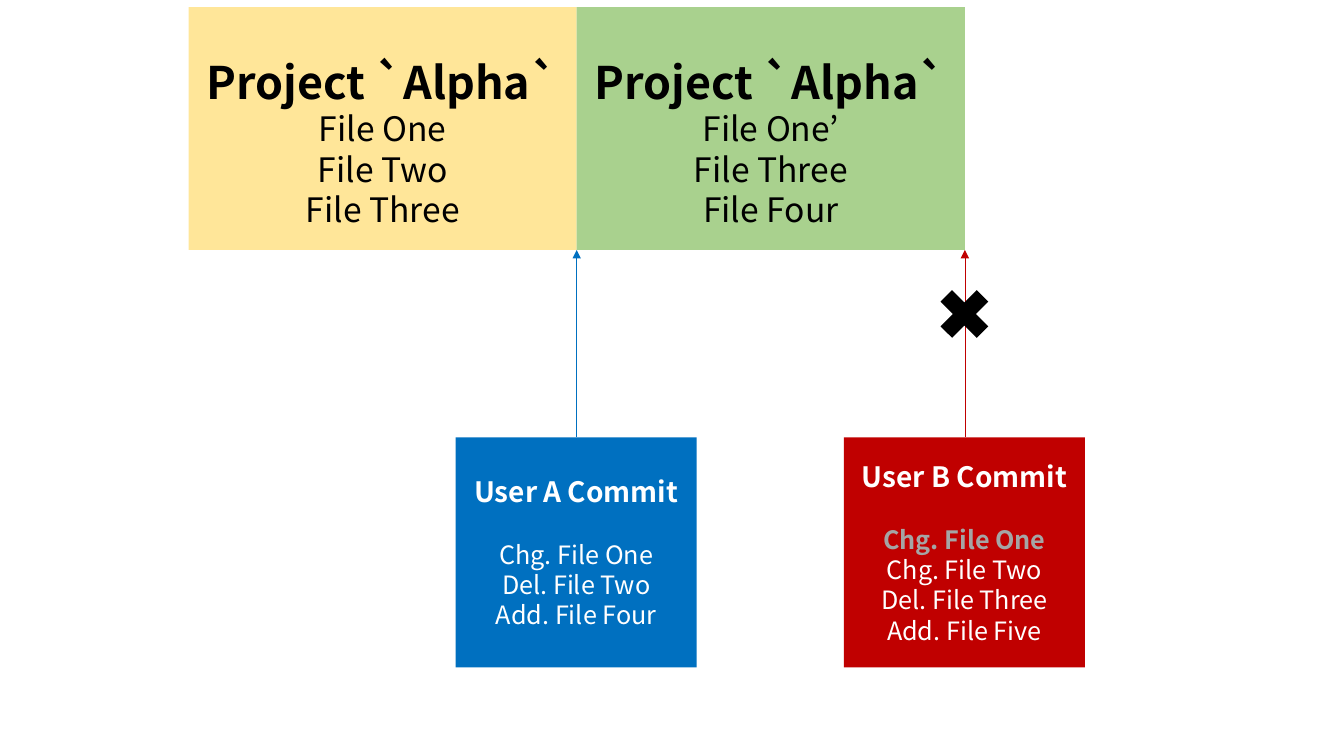
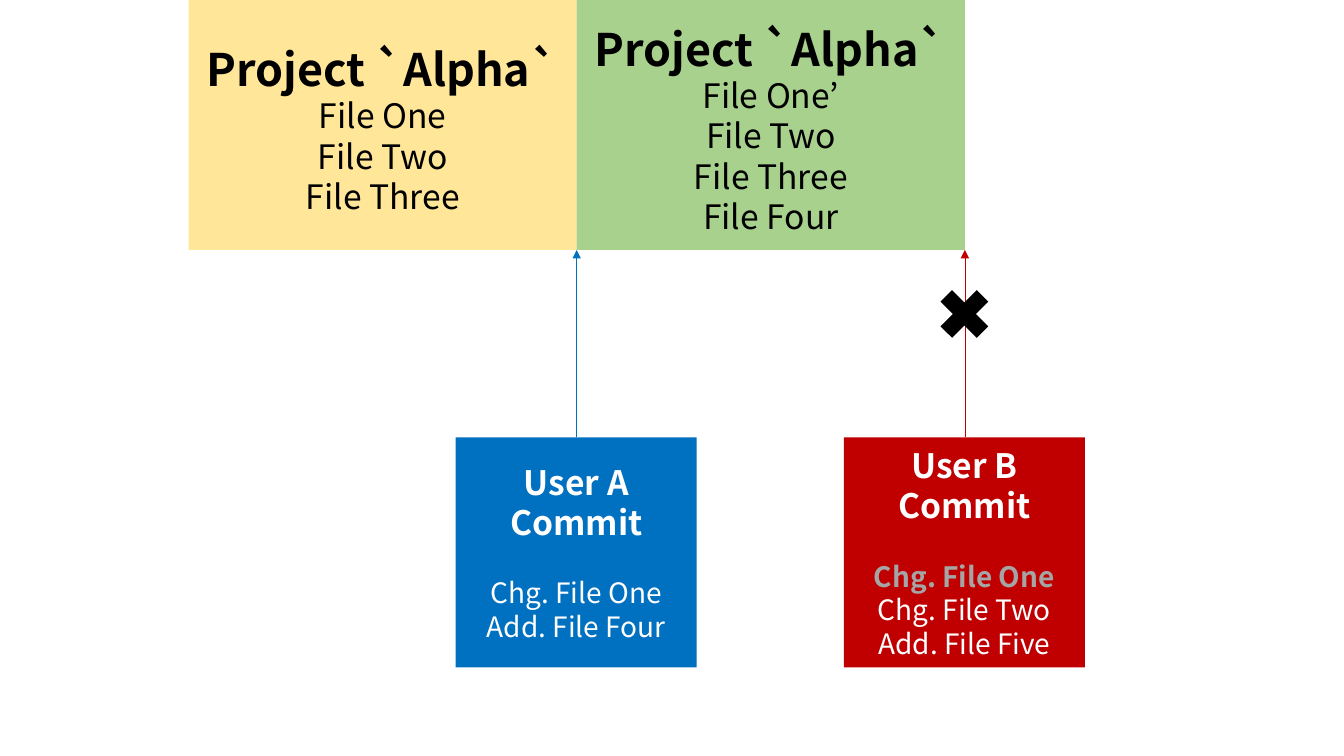
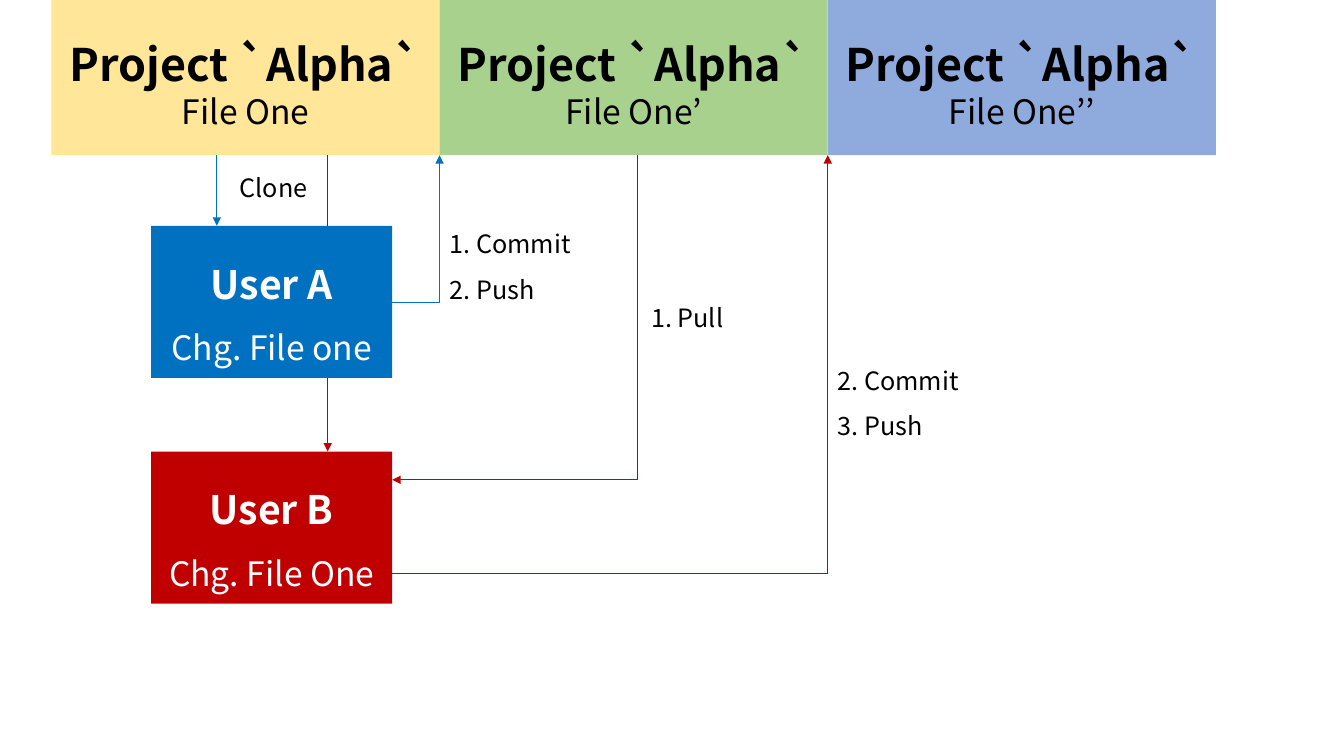
import pptx
import pptx.dml.color
import pptx.enum.shapes
import pptx.enum.text
import pptx.oxml
import pptx.oxml.ns
import pptx.util

PX = 9144  # 100 px to the inch
FONT = "Noto Sans CJK KR"
COLORS = {
    "black": "000000", "white": "FFFFFF", "gray": "A5A5A5",
    "blue": "0070C0", "red": "C00000",
    "yellow": "FFE699", "green": "A9D18E", "periwinkle": "8FAADC",
}
RGB = {name: pptx.dml.color.RGBColor.from_string(c) for name, c in COLORS.items()}
SHAPE = pptx.enum.shapes.MSO_SHAPE
ALIGN = pptx.enum.text.PP_ALIGN
ANCHOR = pptx.enum.text.MSO_ANCHOR


def add_box(s, x, y, w, h, lines=(), fill=None, color="black", preset=SHAPE.RECTANGLE):
    """Add a filled, centred shape, or a plain label when fill is None.

    Each line is a dict: text, size, and optionally bold, color, spacing, before.
    """
    at = [v * PX for v in (x, y, w, h)]
    if fill:
        sp = s.shapes.add_shape(preset, *at)
        sp.shadow.inherit = False
        sp.fill.solid()
        sp.fill.fore_color.rgb = RGB[fill]
        sp.line.fill.background()
    else:
        sp = s.shapes.add_textbox(*at)
    tf = sp.text_frame
    tf.word_wrap = True
    tf.vertical_anchor = ANCHOR.MIDDLE if fill else ANCHOR.TOP
    for i, line in enumerate(lines):
        p = tf.add_paragraph() if i else tf.paragraphs[0]
        p.alignment = ALIGN.CENTER if fill else ALIGN.LEFT
        p.line_spacing = line.get("spacing")
        p.space_before = pptx.util.Pt(line.get("before", 0))
        r = p.add_run()
        r.text = line["text"]
        r.font.name = FONT
        r.font.size = pptx.util.Pt(line["size"])
        r.font.bold = line.get("bold", False)
        r.font.color.rgb = RGB[line.get("color", color)]
    return sp


def add_line(s, x1, y1, x2, y2, color, arrow=True):
    sp = s.shapes.add_connector(pptx.enum.shapes.MSO_CONNECTOR.STRAIGHT,
                                x1 * PX, y1 * PX, x2 * PX, y2 * PX)
    sp.line.color.rgb = RGB[color]
    sp.line.width = pptx.util.Pt(0.5)
    if arrow:
        ln = sp.line._get_or_add_ln()
        tail = pptx.oxml.parse_xml(f'<a:tailEnd {pptx.oxml.ns.nsdecls("a")} type="triangle"/>')
        ln.append(tail)
    effects = pptx.oxml.parse_xml(f'<a:effectLst {pptx.oxml.ns.nsdecls("a")}/>')
    sp._element.spPr.append(effects)


prs = pptx.Presentation()
prs.slide_width = 1333 * PX
prs.slide_height = 750 * PX
blank = prs.slide_layouts[6]

PROJECT_W = 385
USER_W = 239
PROJECT_TITLE = dict(text="Project `Alpha`", size=32, bold=True, spacing=1.5)

# Slides 1 and 2: two commits against one project, the second rejected
PROJECT_X, PROJECT_BOTTOM = 187, 248
COMMIT_Y, COMMIT_H = 434, 228
CROSS = 69

conflicts = [
    dict(top=7, title_size=20, size=18,
         before=["File One", "File Two", "File Three"],
         after=["File One’", "File Three", "File Four"],
         a=["Chg. File One", "Del. File Two", "Add. File Four"],
         b=["Chg. File One", "Chg. File Two", "Del. File Three", "Add. File Five"]),
    dict(top=-19, title_size=24, size=20,
         before=["File One", "File Two", "File Three"],
         after=["File One’", "File Two", "File Three", "File Four"],
         a=["Chg. File One", "Add. File Four"],
         b=["Chg. File One", "Chg. File Two", "Add. File Five"]),
]
for case in conflicts:
    s = prs.slides.add_slide(blank)
    versions = [("before", "yellow"), ("after", "green")]
    for i, (version, fill) in enumerate(versions):
        files = [dict(text=name, size=24) for name in case[version]]
        add_box(s, PROJECT_X + i * PROJECT_W, case["top"], PROJECT_W,
                PROJECT_BOTTOM - case["top"], [PROJECT_TITLE] + files, fill)

    for i, (user, fill) in enumerate([("a", "blue"), ("b", "red")]):
        edge = PROJECT_X + (i + 1) * PROJECT_W
        changes = [dict(text=change, size=case["size"]) for change in case[user]]
        changes[0]["before"] = round(case["size"] * 1.2)
        if user == "b":
            changes[0].update(bold=True, color="gray")
        title = dict(text=f"User {user.upper()} Commit", size=case["title_size"], bold=True)
        add_box(s, edge - 120, COMMIT_Y, USER_W, COMMIT_H, [title] + changes, fill, "white")
        add_line(s, edge, COMMIT_Y, edge, PROJECT_BOTTOM, fill)

    add_box(s, edge - 35, 277, CROSS, CROSS, fill="black", preset=SHAPE.MATH_MULTIPLY)

# Slide 3: clone, pull, commit and push
s = prs.slides.add_slide(blank)
PROJECT_X, PROJECT_Y, PROJECT_BOTTOM = 51, -14, 154
USER_X, USER_H = 150, 151
USER_RIGHT = USER_X + USER_W
USER_A_Y, USER_B_Y = 224, 448
PUSH_A_X = PROJECT_X + PROJECT_W
PUSH_B_X = PUSH_A_X + PROJECT_W
PULL_X = 632

versions = [("File One", "yellow"), ("File One’", "green"), ("File One’’", "periwinkle")]
for i, (name, fill) in enumerate(versions):
    add_box(s, PROJECT_X + i * PROJECT_W, PROJECT_Y, PROJECT_W, PROJECT_BOTTOM - PROJECT_Y,
            [PROJECT_TITLE, dict(text=name, size=24)], fill)

add_line(s, 215, PROJECT_BOTTOM, 215, USER_A_Y, "blue")
add_line(s, 325, PROJECT_BOTTOM, 325, USER_B_Y, "red")

users = [("User A", "Chg. File one", USER_A_Y, "blue"),
         ("User B", "Chg. File One", USER_B_Y, "red")]
for user, change, y, fill in users:
    add_box(s, USER_X, y, USER_W, USER_H,
            [dict(text=user, size=28, bold=True, spacing=1.5),
             dict(text=change, size=24, spacing=1.5)], fill, "white")

for x, y, color in [(PUSH_A_X, 300, "blue"), (PUSH_B_X, 569, "red")]:
    add_line(s, USER_RIGHT, y, x, y, color, arrow=False)
    add_line(s, x, y, x, PROJECT_BOTTOM, color)
add_line(s, PULL_X, PROJECT_BOTTOM, PULL_X, 476, "red", arrow=False)
add_line(s, PULL_X, 476, USER_RIGHT, 476, "red")

labels = [
    (228, 166, 97, 40, ["Clone"], 1),
    (PUSH_A_X, 207, 144, 101, ["1. Commit", "2. Push"], 1.5),
    (636, 295, 119, 40, ["1. Pull"], 1),
    (PUSH_B_X, 342, 144, 101, ["2. Commit", "3. Push"], 1.5),
]
for x, y, w, h, steps, spacing in labels:
    add_box(s, x, y, w, h, [dict(text=step, size=18, spacing=spacing) for step in steps])

prs.save("out.pptx")
